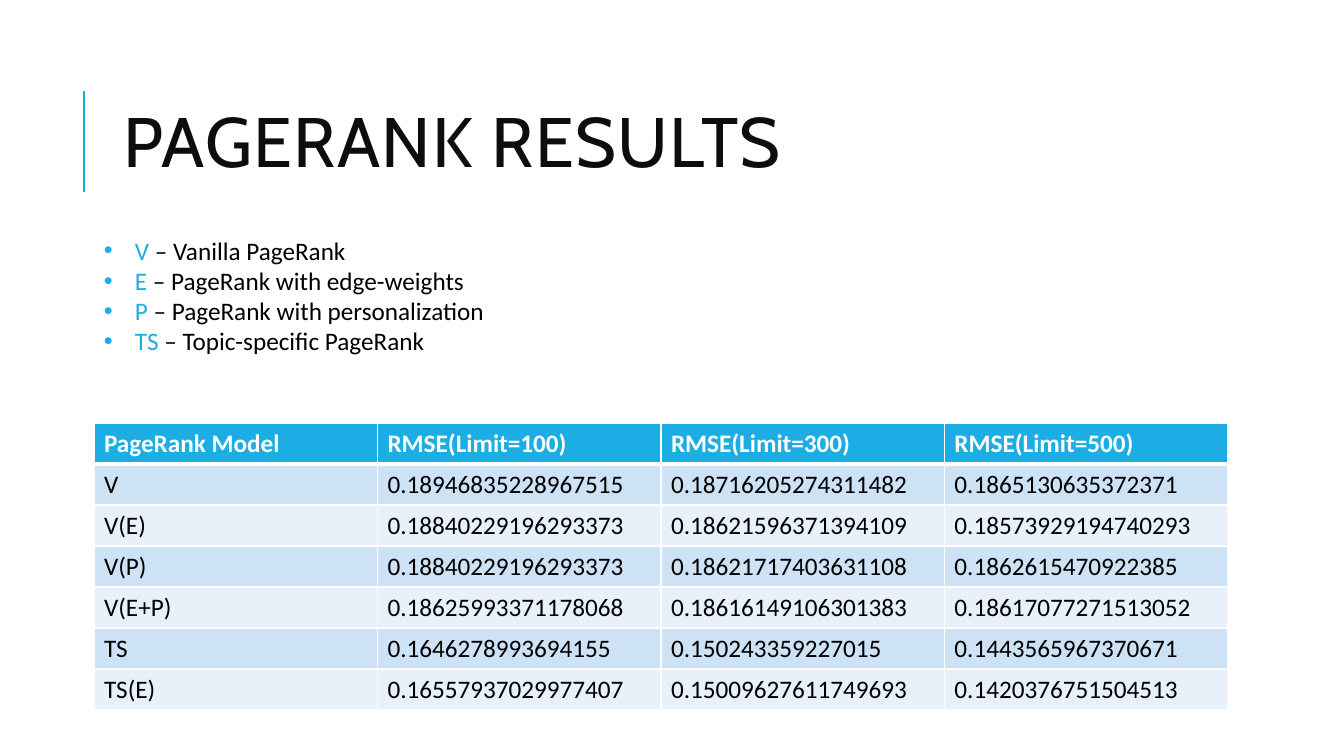
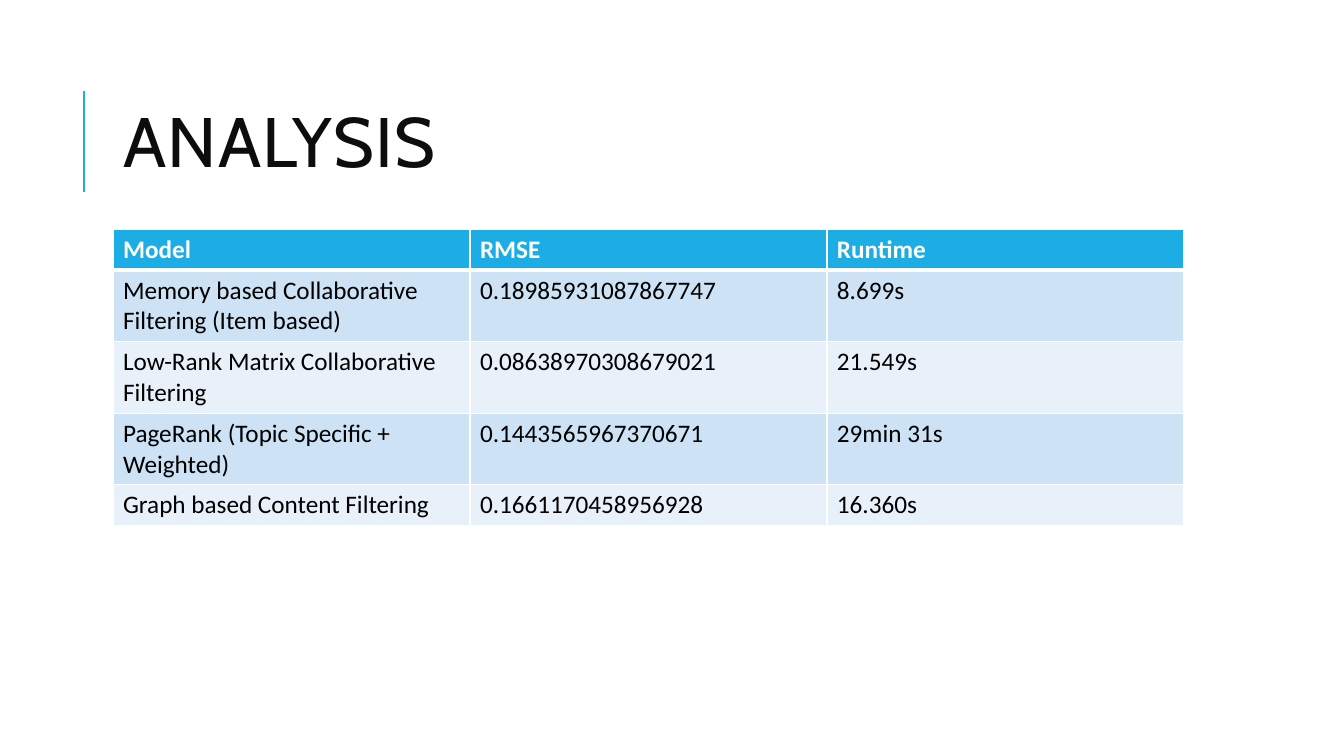
from lxml.etree import SubElement
from pptx import Presentation
from pptx.dml.color import RGBColor
from pptx.enum.shapes import MSO_CONNECTOR
from pptx.enum.text import MSO_ANCHOR, MSO_AUTO_SIZE, PP_ALIGN
from pptx.oxml import parse_xml
from pptx.oxml.ns import nsdecls, qn
from pptx.util import Emu, Pt

# Content
LEGEND = [
    ("V", "Vanilla PageRank"),
    ("E", "PageRank with edge-weights"),
    ("P", "PageRank with personalization"),
    ("TS", "Topic-specific PageRank"),
]
PAGERANK_ROWS = [
    ("PageRank Model", "RMSE(Limit=100)", "RMSE(Limit=300)", "RMSE(Limit=500)"),
    ("V", "0.18946835228967515", "0.18716205274311482", "0.1865130635372371"),
    ("V(E)", "0.18840229196293373", "0.18621596371394109", "0.18573929194740293"),
    ("V(P)", "0.18840229196293373", "0.18621717403631108", "0.1862615470922385"),
    ("V(E+P)", "0.18625993371178068", "0.18616149106301383", "0.18617077271513052"),
    ("TS", "0.1646278993694155", "0.150243359227015", "0.1443565967370671"),
    ("TS(E)", "0.16557937029977407", "0.15009627611749693", "0.1420376751504513"),
]
ANALYSIS_ROWS = [
    ("Model", "RMSE", "Runtime"),
    ("Memory based Collaborative Filtering (Item based)", "0.18985931087867747", "8.699s"),
    ("Low-Rank Matrix Collaborative Filtering", "0.08638970308679021", "21.549s"),
    ("PageRank (Topic Specific + Weighted)", "0.1443565967370671", "29min 31s"),
    ("Graph based Content Filtering", "0.1661170458956928", "16.360s"),
]

# Shared style
COLORS = {"accent": "1CADE4", "title": "0D0D0D", "text": "000000",
          "white": "FFFFFF", "band_dark": "CDE3F5", "band_light": "E8F1FA"}
TITLE_FONT, BODY_FONT = "Cabin", "Calibri"
ROW_H = 41


def px(n):
    return Emu(round(n * 914400 / 100.8))


def rgb(name):
    return RGBColor.from_string(COLORS[name])


def add_text(p, text, font=BODY_FONT, size=18, color="text", bold=False, spacing=0):
    r = p.add_run()
    r.text = text
    r.font.name, r.font.size, r.font.bold = font, Pt(size), bold
    r.font.color.rgb = rgb(color)
    if spacing:
        r._r.get_or_add_rPr().set("spc", str(spacing * 100))


def add_slide(prs, title):
    s = prs.slides.add_slide(prs.slide_layouts[5])
    # Accent line beside the title
    line = s.shapes.add_connector(MSO_CONNECTOR.STRAIGHT, px(84), px(192), px(84), px(91))
    line.line.color.rgb = rgb("accent")
    line.line.width = Pt(1.5)
    SubElement(line._element.spPr, qn("a:effectLst"))
    # Title
    sp = s.shapes.title
    sp.left, sp.top, sp.width, sp.height = px(113), px(65), px(1071), px(165)
    tf = sp.text_frame
    tf.word_wrap = True
    tf.auto_size = MSO_AUTO_SIZE.NONE
    tf.vertical_anchor = MSO_ANCHOR.MIDDLE
    p = tf.paragraphs[0]
    p.alignment, p.line_spacing = PP_ALIGN.LEFT, 0.8
    add_text(p, title, font=TITLE_FONT, size=50, color="title", spacing=1)
    return s


def set_borders(cell, top, bottom):
    tcPr = cell._tc.get_or_add_tcPr()
    widths = {"lnL": 1, "lnR": 1, "lnT": top, "lnB": bottom}
    for i, (side, width) in enumerate(widths.items()):
        tcPr.insert(i, parse_xml(
            f'<a:{side} {nsdecls("a")} w="{Pt(width)}"><a:solidFill>'
            f'<a:srgbClr val="{COLORS["white"]}"/></a:solidFill></a:{side}>'))


def add_grid(s, rows, left, top, width):
    n_cols = len(rows[0])
    table = s.shapes.add_table(len(rows), n_cols, px(left), px(top),
                               px(width), px(ROW_H * len(rows))).table
    for col in table.columns:
        col.width = px(width / n_cols)
    for i, row in enumerate(rows):
        table.rows[i].height = px(ROW_H)
        header = i == 0
        fill = "accent" if header else "band_dark" if i % 2 else "band_light"
        for j, text in enumerate(row):
            cell = table.cell(i, j)
            cell.fill.solid()
            cell.fill.fore_color.rgb = rgb(fill)
            set_borders(cell, top=3 if i == 1 else 1, bottom=3 if header else 1)
            add_text(cell.text_frame.paragraphs[0], text,
                     color="white" if header else "text", bold=header)


def add_legend(s, items, left, top, width, height):
    tf = s.shapes.add_textbox(px(left), px(top), px(width), px(height)).text_frame
    tf.word_wrap = True
    tf.auto_size = MSO_AUTO_SIZE.SHAPE_TO_FIT_TEXT
    for i, (key, meaning) in enumerate(items):
        p = tf.add_paragraph() if i else tf.paragraphs[0]
        # Hanging bullet
        pPr = p._p.get_or_add_pPr()
        pPr.set("marL", str(px(31)))
        pPr.set("indent", str(-px(31)))
        SubElement(SubElement(pPr, qn("a:buClr")), qn("a:srgbClr"), val=COLORS["accent"])
        SubElement(pPr, qn("a:buFont"), typeface="Arial")
        SubElement(pPr, qn("a:buChar"), char="•")
        add_text(p, key, color="accent")
        add_text(p, f" – {meaning}")


def main():
    prs = Presentation()
    prs.slide_width, prs.slide_height = px(1344), px(756)

    # PageRank results
    s = add_slide(prs, "PAGERANK RESULTS")
    add_grid(s, PAGERANK_ROWS, left=94, top=423, width=1134)
    add_legend(s, LEGEND, left=94, top=230, width=444, height=132)

    # Analysis
    s = add_slide(prs, "ANALYSIS")
    add_grid(s, ANALYSIS_ROWS, left=113, top=229, width=1071)

    prs.save("out.pptx")


if __name__ == "__main__":
    main()
